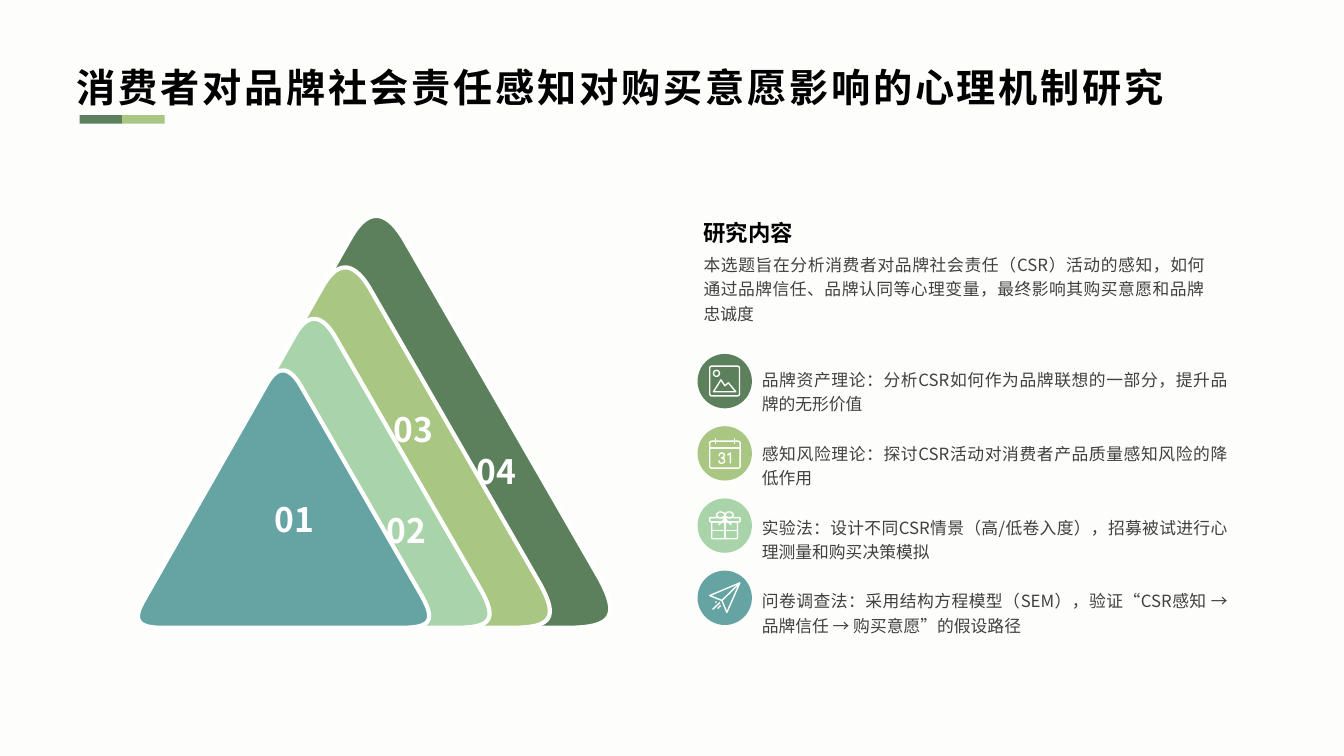
from math import cos, pi, sin

from lxml.etree import SubElement
from pptx import Presentation
from pptx.dml.color import RGBColor
from pptx.enum.shapes import MSO_SHAPE
from pptx.enum.text import MSO_ANCHOR, MSO_AUTO_SIZE, PP_ALIGN
from pptx.oxml.ns import qn
from pptx.util import Cm, Pt

FONT = "Noto Sans CJK SC"
COLORS = {
    "paper": "FDFEFB", "white": "FFFFFF", "black": "000000", "grey": "404040",
    "forest": "5B805B", "olive": "A9C683", "mint": "A9D3A9", "teal": "66A4A4",
}

# Rounded corners of the largest triangle, in cm from the middle of its base:
# each corner is a Bezier curve, straight sides join them
CORNERS = [
    [(-4.83, 0), (-5.82, 0), (-6.07, -0.3), (-5.54, -1.17)],
    [(-0.64, -9.78), (-0.23, -10.54), (0.23, -10.6), (0.71, -9.83)],
    [(5.66, -1.24), (6.17, -0.3), (5.99, 0), (4.83, 0)],
]

# Colour, number, left and top of the number, back to front
LAYERS = [
    ("forest", "04", 11.76, 11.25),
    ("olive", "03", 9.68, 10.19),
    ("mint", "02", 9.5, 12.73),
    ("teal", "01", 6.68, 12.45),
]

POINTS = [
    ("forest", "image", "品牌资产理论：分析CSR如何作为品牌联想的一部分，提升品牌的无形价值"),
    ("olive", "calendar", "感知风险理论：探讨CSR活动对消费者产品质量感知风险的降低作用"),
    ("mint", "gift", "实验法：设计不同CSR情景（高/低卷入度），招募被试进行心理测量和购买决策模拟"),
    ("teal", "plane", "问卷调查法：采用结构方程模型（SEM），验证“CSR感知 → 品牌信任 → 购买意愿”的假设路径"),
]


def color(name):
    return RGBColor.from_string(COLORS[name])


def bezier(start, pull_out, pull_in, end, steps=16):
    curve = []
    for step in range(steps + 1):
        t = step / steps
        weights = ((1 - t) ** 3, 3 * t * (1 - t) ** 2, 3 * t * t * (1 - t), t ** 3)
        knots = (start, pull_out, pull_in, end)
        curve.append(tuple(sum(w * knot[axis] for w, knot in zip(weights, knots))
                           for axis in (0, 1)))
    return curve


def oval(x, y, wide, high, start=0, turn=2 * pi, steps=20):
    angles = [start + turn * step / steps for step in range(steps + 1)]
    return [(x + wide * cos(a), y + high * sin(a)) for a in angles]


def frame(left, top, right, bottom, radius=2):
    centres = [(right - radius, bottom - radius), (left + radius, bottom - radius),
               (left + radius, top + radius), (right - radius, top + radius)]
    ring = []
    for quarter, (x, y) in enumerate(centres):
        ring += oval(x, y, radius, radius, quarter * pi / 2, pi / 2, 5)
    return ring + ring[:1]


# Strokes of each icon on a 32-unit grid
ICONS = {
    "image": [
        frame(0.7, 0.7, 30.7, 30.7), oval(7.5, 8, 3, 3),
        [(4.5, 26.5), (12, 14.5), (16, 20.5), (19.5, 17.5), (27, 26.5), (4.5, 26.5)],
    ],
    "calendar": [
        frame(0.7, 3.5, 31.3, 30.7), [(0.7, 10.3), (31.3, 10.3)],
        [(6.5, 0.5), (6.5, 6.5)], [(25.5, 0.5), (25.5, 6.5)],
        [(10, 18.5), (11, 16), (13, 15.3), (15, 16), (15.3, 18), (14.5, 19.8), (12.5, 20.3),
         (15, 21), (15.7, 23), (15, 25), (13, 26), (10.8, 25.3), (9.8, 23)],
        [(18.5, 17.5), (21.5, 15.5), (21.5, 26)],
    ],
    "gift": [
        frame(0.7, 7.7, 31.3, 12, 1), frame(2.7, 12, 28.7, 29, 1),
        [(16, 7.7), (16, 29)], [(2.7, 20.5), (28.7, 20.5)],
        oval(11.7, 5, 4, 3), oval(20.3, 5, 4, 3),
        [(9.5, 15), (13.5, 11.5), (16, 7.7), (18.5, 11.5), (22.5, 15)],
    ],
    "plane": [
        [(0.7, 13.5), (31, 0.7), (18, 30.5), (13, 18.5), (0.7, 13.5)],
        [(13, 18.5), (31, 0.7)], [(8.7, 26.5), (11.7, 23.5)],
        [(3.5, 27.5), (11, 20.5)], [(6.5, 20.5), (7.5, 19.5)],
    ],
}


def add_outline(shapes, strokes, line, weight, fill=None):
    strokes = [[(Cm(x), Cm(y)) for x, y in stroke] for stroke in strokes]
    builder = shapes.build_freeform(*strokes[0][0])
    for number, stroke in enumerate(strokes):
        if number:
            builder.move_to(*stroke[0])
        builder.add_line_segments(stroke[1:], close=fill is not None)
    outline = builder.convert_to_shape()
    outline.shadow.inherit = False
    if fill:
        outline.fill.solid()
        outline.fill.fore_color.rgb = color(fill)
    else:
        outline.fill.background()
    outline.line.color.rgb = color(line)
    outline.line.width = Pt(weight)


def add_solid(shapes, kind, left, top, width, height, fill):
    solid = shapes.add_shape(kind, Cm(left), Cm(top), Cm(width), Cm(height))
    solid.shadow.inherit = False
    solid.fill.solid()
    solid.fill.fore_color.rgb = color(fill)
    solid.line.fill.background()


def add_text(page, text, left, top, width, height, size, ink, bold=False,
             align=None, spacing=None, anchor=MSO_ANCHOR.TOP, tracking=None):
    box = page.shapes.add_textbox(Cm(left), Cm(top), Cm(width), Cm(height))
    box.text_frame.word_wrap = True
    box.text_frame.vertical_anchor = anchor
    if spacing:
        box.text_frame.auto_size = MSO_AUTO_SIZE.SHAPE_TO_FIT_TEXT
    para = box.text_frame.paragraphs[0]
    para.alignment = align
    para.line_spacing = spacing
    span = para.add_run()
    span.text = text
    span.font.name = FONT
    span.font.size = Pt(size)
    span.font.bold = bold
    span.font.color.rgb = color(ink)
    properties = span.font._element
    SubElement(properties, qn("a:ea")).set("typeface", FONT)
    if tracking:
        properties.set("spc", str(tracking * 100))


def add_triangle(page, level, fill):
    scale = 1 - 0.125 * level
    middle, base = 9.45 - 0.78 * level, 15.82
    ring = [(middle + scale * x, base + scale * y)
            for corner in CORNERS for x, y in bezier(*corner)]
    add_outline(page.shapes, [ring], "white", 3, fill)


def add_badge(page, left, top, fill, icon):
    group = page.shapes.add_group_shape()
    add_solid(group.shapes, MSO_SHAPE.OVAL, left, top, 1.37, 1.37, fill)
    strokes = [[(left + 0.29 + x / 40, top + 0.29 + y / 40) for x, y in stroke]
               for stroke in ICONS[icon]]
    add_outline(group.shapes, strokes, "paper", 1)


def main():
    deck = Presentation()
    deck.slide_width, deck.slide_height = Cm(33.87), Cm(19.05)
    page = deck.slides.add_slide(deck.slide_layouts[6])
    page.background.fill.solid()
    page.background.fill.fore_color.rgb = color("paper")

    # Title and its two-colour underline
    add_text(page, "消费者对品牌社会责任感知对购买意愿影响的心理机制研究", 1.68, 1.24, 30.53, 1.68,
             28, "black", True, spacing=1.2, anchor=MSO_ANCHOR.MIDDLE, tracking=2)
    underline = page.shapes.add_group_shape()
    for part, fill in enumerate(("forest", "olive")):
        add_solid(underline.shapes, MSO_SHAPE.RECTANGLE, 2.01 + 1.07 * part, 2.9, 1.07, 0.22, fill)

    # Stacked triangles
    for level, (fill, number, left, top) in enumerate(LAYERS):
        add_triangle(page, level, fill)
        add_text(page, number, left, top, 2.36, 0.84, 24, "white", True)

    # Introduction
    justified = {"align": PP_ALIGN.JUSTIFY, "spacing": 1.2}
    add_text(page, "研究内容", 17.48, 5.26, 5.69, 1.07, 16, "black", True, **justified)
    add_text(page, "本选题旨在分析消费者对品牌社会责任（CSR）活动的感知，如何通过品牌信任、"
             "品牌认同等心理变量，最终影响其购买意愿和品牌忠诚度",
             17.48, 6.2, 13.13, 2.11, 12, "grey", **justified)

    # Theories and methods
    for row, (fill, icon, text) in enumerate(POINTS):
        add_badge(page, 17.58, 8.92 + 1.82 * row, fill, icon)
        add_text(page, text, 18.95, 9.09 + 1.86 * row, 12.24, 1.47, 12, "grey", **justified)

    deck.save("out.pptx")


if __name__ == "__main__":
    main()
